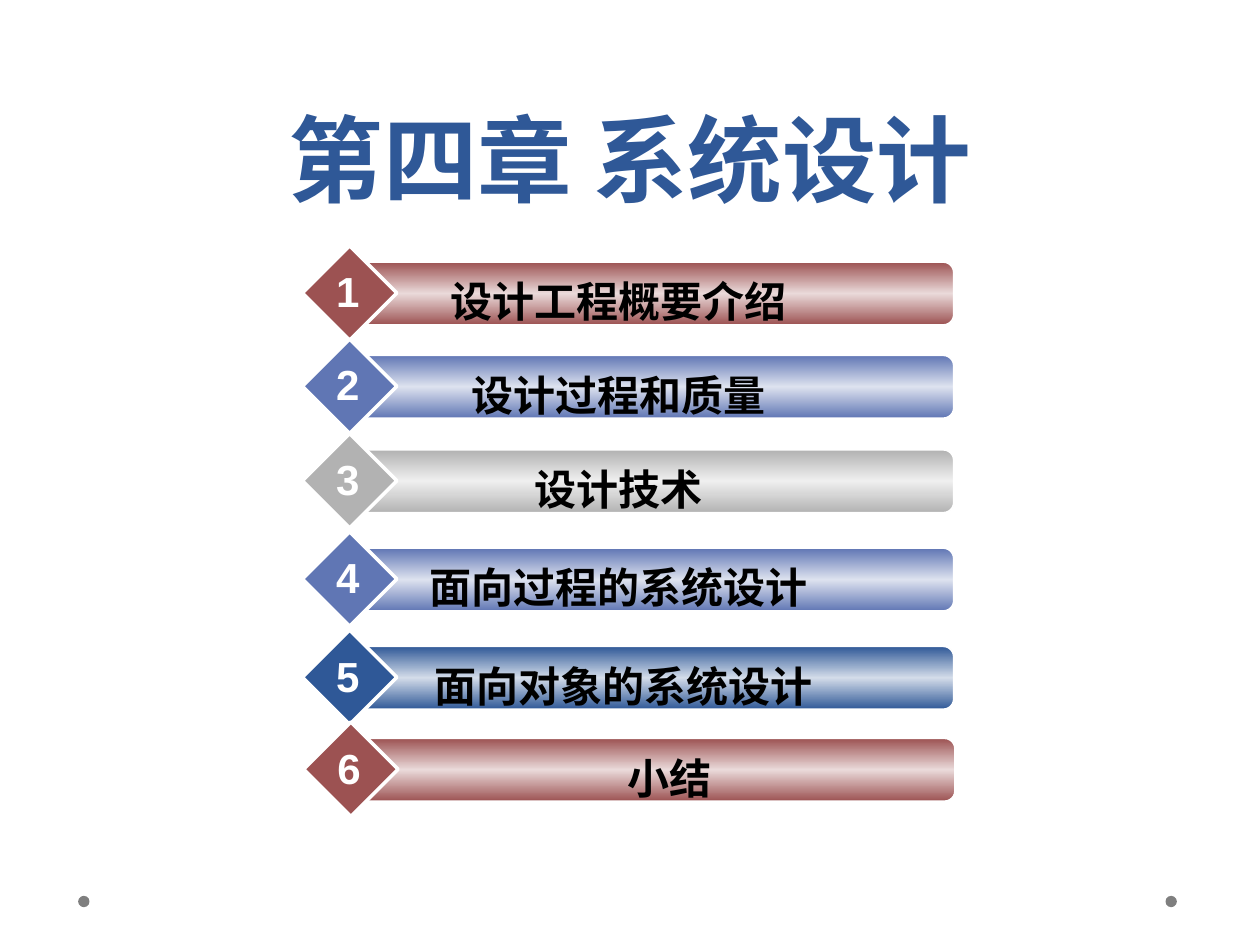
"""Build the chapter four contents slide with six numbered bars."""
import copy
from dataclasses import dataclass

import pptx
import pptx.dml.color
import pptx.enum.shapes
import pptx.enum.text
import pptx.util
from pptx.util import Inches

COLORS = {
    "red": "9C5252", "red_light": "EADADA",
    "blue": "6076B4", "blue_light": "DDE2EF",
    "gray": "B2B2B2", "gray_light": "EFEFEF",
    "navy": "2F5897", "navy_light": "D3DCE9",
    "white": "FFFFFF", "black": "000000", "dot": "7F7F7F",
}
SHAPE = pptx.enum.shapes.MSO_SHAPE
CENTER = pptx.enum.text.PP_ALIGN.CENTER


@dataclass
class Topic:
    text: str
    color: str
    top: float
    label_width: float = 3.75
    shift: float = 0


TOPICS = [
    Topic("设计工程概要介绍 ", "red", 2.08),
    Topic("设计过程和质量 ", "blue", 2.82),
    Topic("设计技术 ", "gray", 3.57),
    Topic("面向过程的系统设计 ", "blue", 4.35),
    Topic("面向对象的系统设计", "navy", 5.13),
    Topic("小结", "red", 5.86, label_width=4.49, shift=0.01),
]


def rgb(name: str) -> pptx.dml.color.RGBColor:
    return pptx.dml.color.RGBColor.from_string(COLORS[name])


def set_font(p, name: str, size: float, color: str) -> None:
    p.alignment = CENTER
    p.font.name = name
    p.font.size = pptx.util.Pt(size)
    p.font.bold = True
    p.font.color.rgb = rgb(color)


def add_solid(shapes, kind, left: float, top: float, size: float, color: str):
    sp = shapes.add_shape(kind, Inches(left), Inches(top), Inches(size), Inches(size))
    sp.shadow.inherit = False
    sp.fill.solid()
    sp.fill.fore_color.rgb = rgb(color)
    sp.line.fill.background()
    return sp


def add_outline(sp, width: float) -> None:
    sp.line.color.rgb = rgb("white")
    sp.line.width = pptx.util.Pt(width)


def add_bar(shapes, left: float, top: float, color: str) -> None:
    sp = shapes.add_shape(SHAPE.ROUNDED_RECTANGLE, Inches(left), Inches(top),
                          Inches(4.75), Inches(0.5))
    sp.shadow.inherit = False
    sp.adjustments[0] = 0.167
    sp.fill.gradient()
    sp.fill.gradient_angle = 90
    first = sp.element.spPr.find(".//" + pptx.oxml.ns.qn("a:gs"))
    first.addnext(copy.deepcopy(first))
    stops = zip(sp.fill.gradient_stops, (0, 0.5, 1), (color, color + "_light", color))
    for stop, position, name in stops:
        stop.position = position
        stop.color.rgb = rgb(name)
    add_outline(sp, 1)


def add_text(shapes, left: float, top: float, width: float, text: str,
             font: str, color: str, wrap: bool) -> None:
    sp = shapes.add_textbox(Inches(left), Inches(top), Inches(width), Inches(0.5))
    tf = sp.text_frame
    tf.word_wrap = wrap
    tf.auto_size = pptx.enum.text.MSO_AUTO_SIZE.SHAPE_TO_FIT_TEXT
    p = tf.paragraphs[0]
    p.text = text
    set_font(p, font, 24, color)


def add_topic(slide, number: int, topic: Topic) -> None:
    shapes = slide.shapes.add_group_shape().shapes
    add_bar(shapes, 2.82 + topic.shift, topic.top, topic.color)
    diamond = add_solid(shapes, SHAPE.DIAMOND, 2.4 + topic.shift, topic.top - 0.13,
                        0.75, topic.color)
    add_outline(diamond, 2)
    add_text(shapes, 3.07, topic.top + 0.06, topic.label_width, topic.text,
             "Times New Roman", "black", True)
    add_text(shapes, 2.57 + topic.shift, topic.top - 0.02, 0.38, str(number),
             "Arial", "white", False)


def add_title(slide, text: str) -> None:
    sp = slide.shapes.title
    sp.left, sp.top, sp.width, sp.height = (Inches(v) for v in (0.5, 0, 9, 1.75))
    tf = sp.text_frame
    tf.auto_size = pptx.enum.text.MSO_AUTO_SIZE.NONE
    tf.vertical_anchor = pptx.enum.text.MSO_ANCHOR.BOTTOM
    p = tf.paragraphs[0]
    p.text = text
    p.line_spacing = pptx.util.Pt(58)
    set_font(p, "Roboto", 54, "navy")


def main() -> None:
    prs = pptx.Presentation()
    prs.slide_width, prs.slide_height = Inches(10), Inches(7.5)
    slide = prs.slides.add_slide(prs.slide_layouts[5])
    for left in (9.25, 0.62):
        add_solid(slide.shapes, SHAPE.OVAL, left, 7.11, 0.09, "dot")
    add_title(slide, "第四章 系统设计")
    for number, topic in enumerate(TOPICS, 1):
        add_topic(slide, number, topic)
    prs.save("out.pptx")


if __name__ == "__main__":
    main()
